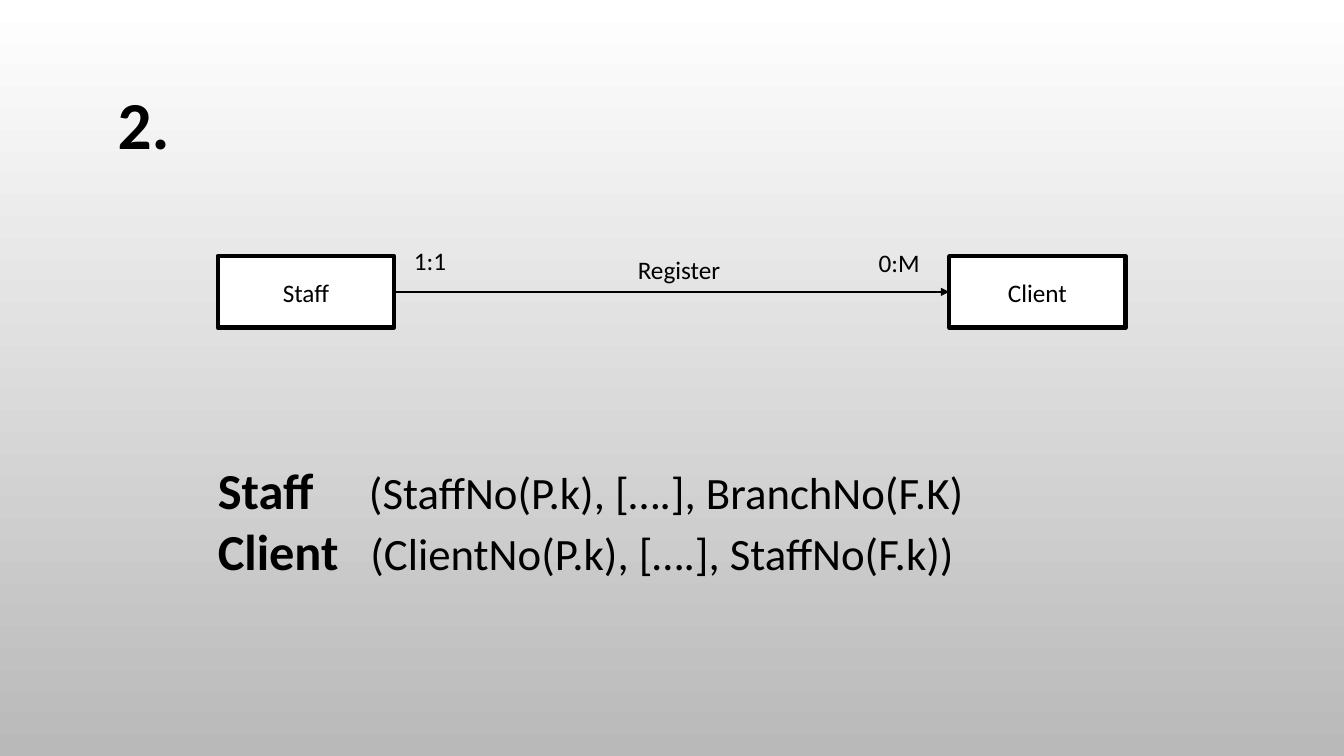
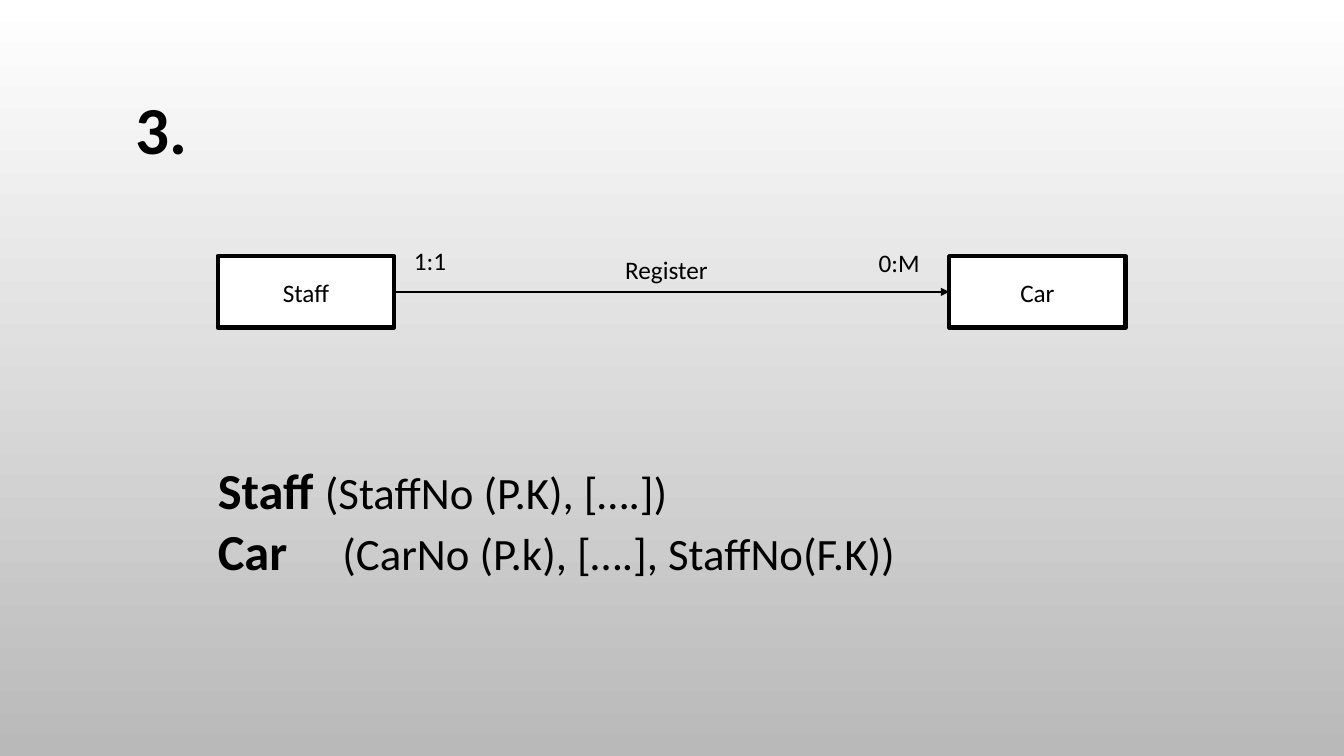
import pptx
import pptx.dml.color
import pptx.enum.shapes
import pptx.enum.text
import pptx.oxml
import pptx.oxml.ns
import pptx.util
from lxml import etree

Pt = pptx.util.Pt
BLACK = pptx.dml.color.RGBColor(0x00, 0x00, 0x00)
WHITE = pptx.dml.color.RGBColor(0xFF, 0xFF, 0xFF)
GREY = pptx.dml.color.RGBColor(0xB9, 0xB9, 0xB9)
FONT = "Calibri"

# Boxes as left, top, width, height in points
DIAGRAM_BOX = (155.5, 183, 648.5, 51)
SCHEMA_BOX = (148.5, 324.7, 717, 94.5)
ENTITY_WIDTH = 126

# Each schema row: entity name, gap, attributes, tab stop in points
SLIDES = [
    {
        "title": "2.", "title_at": (77, 55.5),
        "target": "Client", "relation_left": 293,
        "schema": [
            ("Staff", "\t", "(StaffNo(P.k), [….], BranchNo(F.K)", 108),
            ("Client", "\t", "(ClientNo(P.k), [….], StaffNo(F.k))", 109),
        ],
    },
    {
        "title": "3.", "title_at": (89.5, 58.5),
        "target": "Car", "relation_left": 284,
        "schema": [
            ("Staff", " ", "(StaffNo (P.K), [….])", None),
            ("Car", "\t", "(CarNo (P.k), [….], StaffNo(F.K))", 89),
        ],
    },
]


def sub_element(parent, tag, **attributes):
    return etree.SubElement(parent, pptx.oxml.ns.qn(tag), **attributes)


def format_run(run, size, bold=False):
    run.font.name = FONT
    run.font.size = Pt(size)
    run.font.bold = bold
    run.font.color.rgb = BLACK


def add_label(shapes, box, text, size, bold=False):
    label = shapes.add_textbox(*map(Pt, box))
    label.text_frame.word_wrap = True
    label.text_frame.text = text
    format_run(label.text_frame.paragraphs[0].runs[0], size, bold)


def add_entity(shapes, box, name):
    entity = shapes.add_shape(
        pptx.enum.shapes.MSO_SHAPE.RECTANGLE, *map(Pt, box))
    entity.shadow.inherit = False
    entity.fill.solid()
    entity.fill.fore_color.rgb = WHITE
    entity.line.color.rgb = BLACK
    entity.line.width = Pt(3.15)
    sub_element(entity.line._get_or_add_ln(), "a:round")
    frame = entity.text_frame
    frame.text = name
    frame.vertical_anchor = pptx.enum.text.MSO_ANCHOR.MIDDLE
    frame.paragraphs[0].alignment = pptx.enum.text.PP_ALIGN.CENTER
    format_run(frame.paragraphs[0].runs[0], 18)
    return entity


def add_relation_arrow(shapes, source, target):
    arrow = shapes.add_connector(
        pptx.enum.shapes.MSO_CONNECTOR.STRAIGHT,
        source.left + source.width, source.top + source.height // 2,
        target.left, target.top + target.height // 2)
    arrow.begin_connect(source, 3)
    arrow.end_connect(target, 1)
    arrow.line.color.rgb = BLACK
    arrow.line.width = Pt(0.9)
    sub_element(arrow.line._get_or_add_ln(), "a:tailEnd", type="triangle")
    sub_element(arrow._element.spPr, "a:effectLst")


def add_diagram(slide, box, target_name, relation_left):
    left, top, width, height = box
    right = left + width
    shapes = slide.shapes.add_group_shape().shapes
    staff = add_entity(shapes, (left, top, ENTITY_WIDTH, height), "Staff")
    target = add_entity(
        shapes, (right - ENTITY_WIDTH, top, ENTITY_WIDTH, height), target_name)
    add_relation_arrow(shapes, staff, target)
    # Cardinalities and relation name
    add_label(shapes, (left + 133, top - 11, 44, 32), "1:1", 18)
    add_label(shapes, (right - 183.5, top - 10, 50, 32), "0:M", 18)
    add_label(shapes, (left + relation_left, top - 5, 81, 29), "Register", 18)


def add_schema(slide, box, rows):
    frame = slide.shapes.add_textbox(*map(Pt, box)).text_frame
    frame.word_wrap = True
    for index, (name, gap, attributes, tab_stop) in enumerate(rows):
        paragraph = frame.add_paragraph() if index else frame.paragraphs[0]
        for text, size, bold in ((name + gap, 36, True),
                                 (attributes, 32, False)):
            run = paragraph.add_run()
            run.text = text
            format_run(run, size, bold)
        if tab_stop:
            tabs = sub_element(paragraph._p.get_or_add_pPr(), "a:tabLst")
            sub_element(tabs, "a:tab", pos=str(Pt(tab_stop)), algn="l")


def set_background(master):
    fill = master.background.fill
    fill.gradient()
    fill.gradient_angle = 270
    for stop, color, position in zip(
            fill.gradient_stops, (WHITE, GREY), (0, 1)):
        stop.color.rgb = color
        stop.position = position


def add_relation_slide(presentation, content):
    slide = presentation.slides.add_slide(presentation.slide_layouts[6])
    add_label(slide.shapes, (*content["title_at"], 118, 74),
              content["title"], 48, True)
    add_diagram(slide, DIAGRAM_BOX, content["target"],
                content["relation_left"])
    add_schema(slide, SCHEMA_BOX, content["schema"])


def main():
    presentation = pptx.Presentation()
    presentation.slide_width = Pt(960)
    presentation.slide_height = Pt(540)
    set_background(presentation.slide_master)
    for content in SLIDES:
        add_relation_slide(presentation, content)
    presentation.save("out.pptx")


if __name__ == "__main__":
    main()
